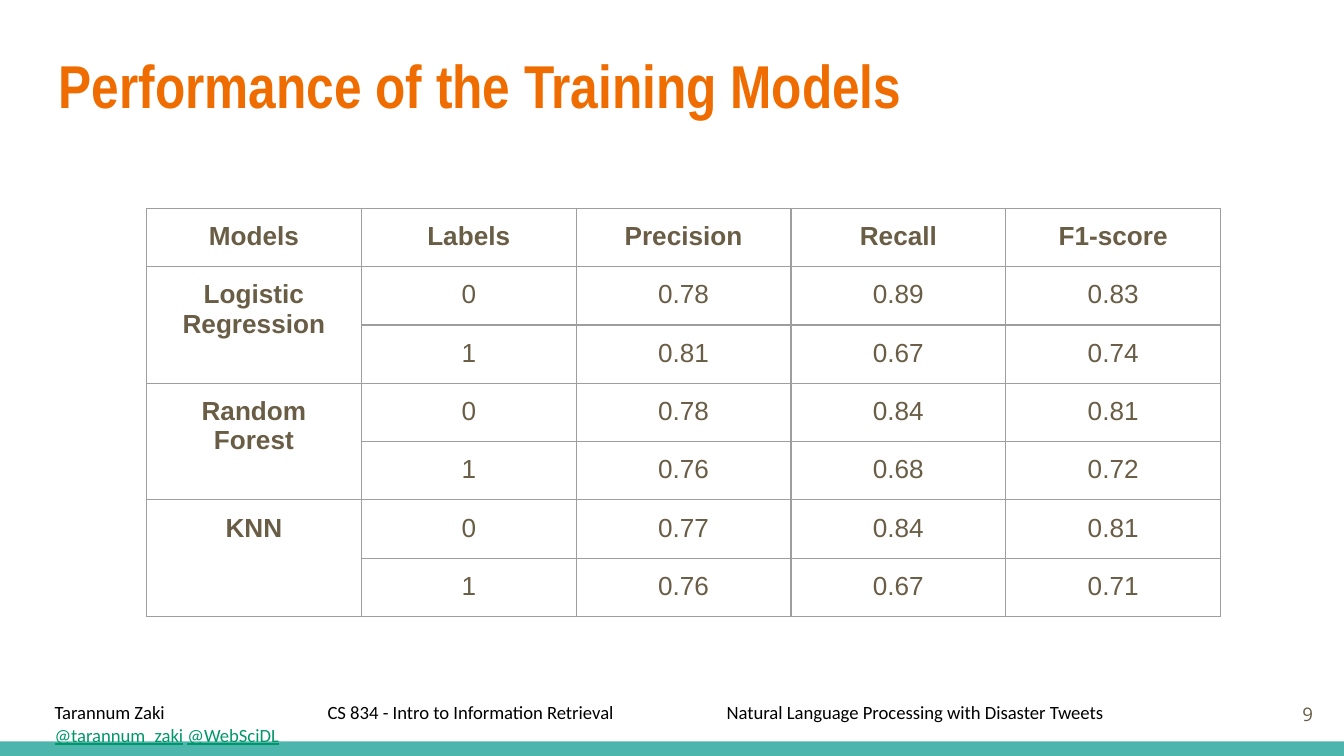
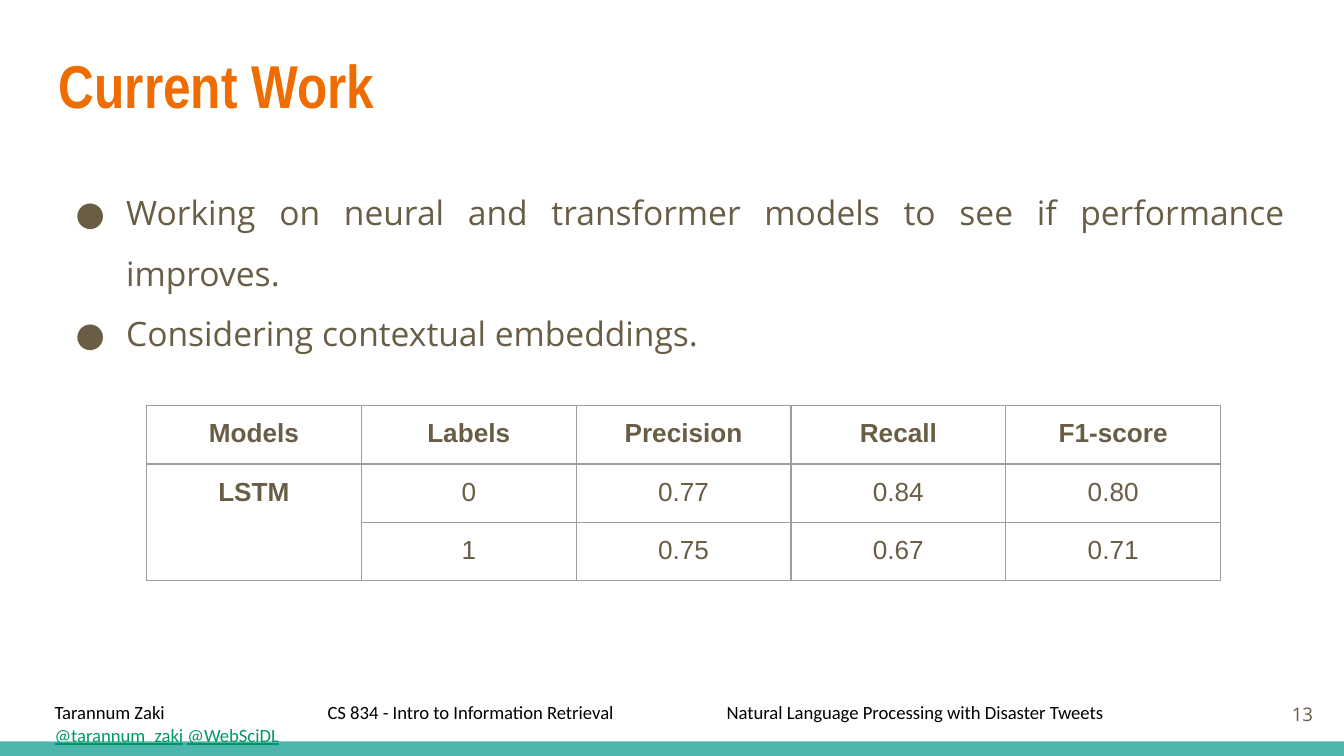
import pptx
import pptx.util
import pptx.dml.color
import pptx.enum.shapes
import pptx.enum.text
import pptx.oxml

Pt = pptx.util.Pt
ALIGN = pptx.enum.text.PP_ALIGN
ANCHOR = pptx.enum.text.MSO_ANCHOR

COLORS = {
    "background": "FFFFFF",
    "title": "EF6C00",
    "body": "695D46",
    "footer": "000000",
    "link": "009668",
    "band": "4DB6AC",
    "border": "9E9E9E",
}

HEADERS = ["Models", "Labels", "Precision", "Recall", "F1-score"]
FOOTER_TEXT = (
    "Tarannum Zaki\t\t CS 834 - Intro to Information Retrieval"
    "\tNatural Language Processing with Disaster Tweets\t\t"
)
FOOTER = [
    (FOOTER_TEXT, {}),
    ("@tarannum_zaki", {"color": "link", "underline": True}),
    (" ", {}),
    ("@WebSciDL", {"color": "link", "underline": True}),
]
SLIDES = [
    {
        "title": "Performance of the Training Models",
        "number": "9",
        "bullets": [],
        "table_top": 111.6,
        "row_height": 31.2,
        "models": [
            ("Logistic Regression", [("0", "0.78", "0.89", "0.83"), ("1", "0.81", "0.67", "0.74")]),
            ("Random Forest", [("0", "0.78", "0.84", "0.81"), ("1", "0.76", "0.68", "0.72")]),
            ("KNN", [("0", "0.77", "0.84", "0.81"), ("1", "0.76", "0.67", "0.71")]),
        ],
    },
    {
        "title": "Current Work",
        "number": "13",
        "bullets": [
            "Working on neural and transformer models to see if performance improves.",
            "Considering contextual embeddings.",
        ],
        "table_top": 217.4,
        "row_height": 30,
        "models": [
            ("LSTM", [("0", "0.77", "0.84", "0.80"), ("1", "0.75", "0.67", "0.71")]),
        ],
    },
]

WIDTH, HEIGHT = 720, 405
BAND_HEIGHT = 7.8
MARGIN = 7.2
TABLE_LEFT, COLUMN_WIDTH = 78.5, 115.1
BULLET_INDENT, BULLET_HANG = 36, 27
TAB_STEP, TAB_COUNT = 72, 9


def rgb(name):
    return pptx.dml.color.RGBColor.from_string(COLORS[name])


def write(para, text, size=14, font="Arial", color="body", bold=False,
          underline=False, align=ALIGN.LEFT):
    para.alignment = align
    span = para.add_run()
    span.text = text
    span.font.size = Pt(size)
    span.font.name = font
    span.font.bold = bold
    span.font.underline = underline
    span.font.color.rgb = rgb(color)


def set_margins(holder):
    holder.margin_left = holder.margin_right = Pt(MARGIN)
    holder.margin_top = holder.margin_bottom = Pt(MARGIN)


def add_box(page, left, top, width, height, anchor=ANCHOR.TOP):
    box = page.shapes.add_textbox(Pt(left), Pt(top), Pt(width), Pt(height))
    frame = box.text_frame
    frame.word_wrap = True
    frame.vertical_anchor = anchor
    set_margins(frame)
    return frame


def add_xml(parent, xml, position=None):
    namespace = 'xmlns:a="http://schemas.openxmlformats.org/drawingml/2006/main"'
    element = pptx.oxml.parse_xml(xml.replace(" ", f" {namespace} ", 1))
    parent.insert(len(parent) if position is None else position, element)


def add_band(page):
    band = page.shapes.add_shape(
        pptx.enum.shapes.MSO_SHAPE.RECTANGLE,
        Pt(0), Pt(HEIGHT - BAND_HEIGHT), Pt(WIDTH), Pt(BAND_HEIGHT))
    band.shadow.inherit = False
    band.fill.solid()
    band.fill.fore_color.rgb = rgb("band")
    band.line.fill.background()


def add_bullets(page, bullets):
    frame = add_box(page, 24.5, 85, 671, 260)
    for index, text in enumerate(bullets):
        para = frame.add_paragraph() if index else frame.paragraphs[0]
        write(para, text, size=18, font="Open Sans", align=ALIGN.JUSTIFY)
        para.line_spacing = 1.5
        settings = para._p.get_or_add_pPr()
        settings.set("marL", str(Pt(BULLET_INDENT)))
        settings.set("indent", str(-Pt(BULLET_HANG)))
        add_xml(settings, f'<a:buClr ><a:srgbClr val="{COLORS["body"]}"/></a:buClr>')
        add_xml(settings, '<a:buFont typeface="Open Sans"/>')
        add_xml(settings, '<a:buChar char="●"/>')


def add_footer(page, number):
    frame = add_box(page, 667.5, 367, 43, 31, anchor=ANCHOR.MIDDLE)
    write(frame.paragraphs[0], number, size=10, font="Open Sans", align=ALIGN.RIGHT)
    para = add_box(page, 22.2, 368.4, 688.3, 27).paragraphs[0]
    for text, look in FOOTER:
        write(para, text, **{"size": 10, "font": "Calibri", "color": "footer", **look})
    stops = "".join(
        f'<a:tab pos="{Pt(TAB_STEP * step)}" algn="l"/>' for step in range(1, TAB_COUNT + 1))
    add_xml(para._p.get_or_add_pPr(), f"<a:tabLst >{stops}</a:tabLst>")


def style_cell(cell):
    set_margins(cell)
    cell.fill.background()
    settings = cell._tc.get_or_add_tcPr()
    for position, side in enumerate(("lnL", "lnR", "lnT", "lnB")):
        add_xml(settings, f'<a:{side} w="{Pt(0.75)}"><a:solidFill><a:srgbClr '
                f'val="{COLORS["border"]}"/></a:solidFill></a:{side}>', position)


def add_scores(page, models, top, row_height):
    rows = [HEADERS]
    for model, scores in models:
        rows += [(model if not index else None, *score) for index, score in enumerate(scores)]
    table = page.shapes.add_table(
        len(rows), len(HEADERS), Pt(TABLE_LEFT), Pt(top),
        Pt(COLUMN_WIDTH * len(HEADERS)), Pt(row_height * len(rows))).table
    table.first_row = table.horz_banding = False
    for column in table.columns:
        column.width = Pt(COLUMN_WIDTH)
    for row_index, values in enumerate(rows):
        table.rows[row_index].height = Pt(row_height)
        for column_index, text in enumerate(values):
            cell = table.cell(row_index, column_index)
            style_cell(cell)
            if text is not None:
                write(cell.text_frame.paragraphs[0], text, align=ALIGN.CENTER,
                      bold=row_index == 0 or column_index == 0)
    first = 1
    for model, scores in models:
        last = first + len(scores) - 1
        table.cell(first, 0).merge(table.cell(last, 0))
        first = last + 1


def main():
    deck = pptx.Presentation()
    deck.slide_width, deck.slide_height = Pt(WIDTH), Pt(HEIGHT)
    for content in SLIDES:
        page = deck.slides.add_slide(deck.slide_layouts[6])
        page.background.fill.solid()
        page.background.fill.fore_color.rgb = rgb("background")
        add_band(page)
        if content["bullets"]:
            add_bullets(page, content["bullets"])
        add_footer(page, content["number"])
        title = add_box(page, 24.5, 18.7, 671, 55.4)
        write(title.paragraphs[0], content["title"], size=32.4,
              font="Arial Narrow", color="title", bold=True)
        add_scores(page, content["models"], content["table_top"], content["row_height"])
    deck.save("out.pptx")


if __name__ == "__main__":
    main()
